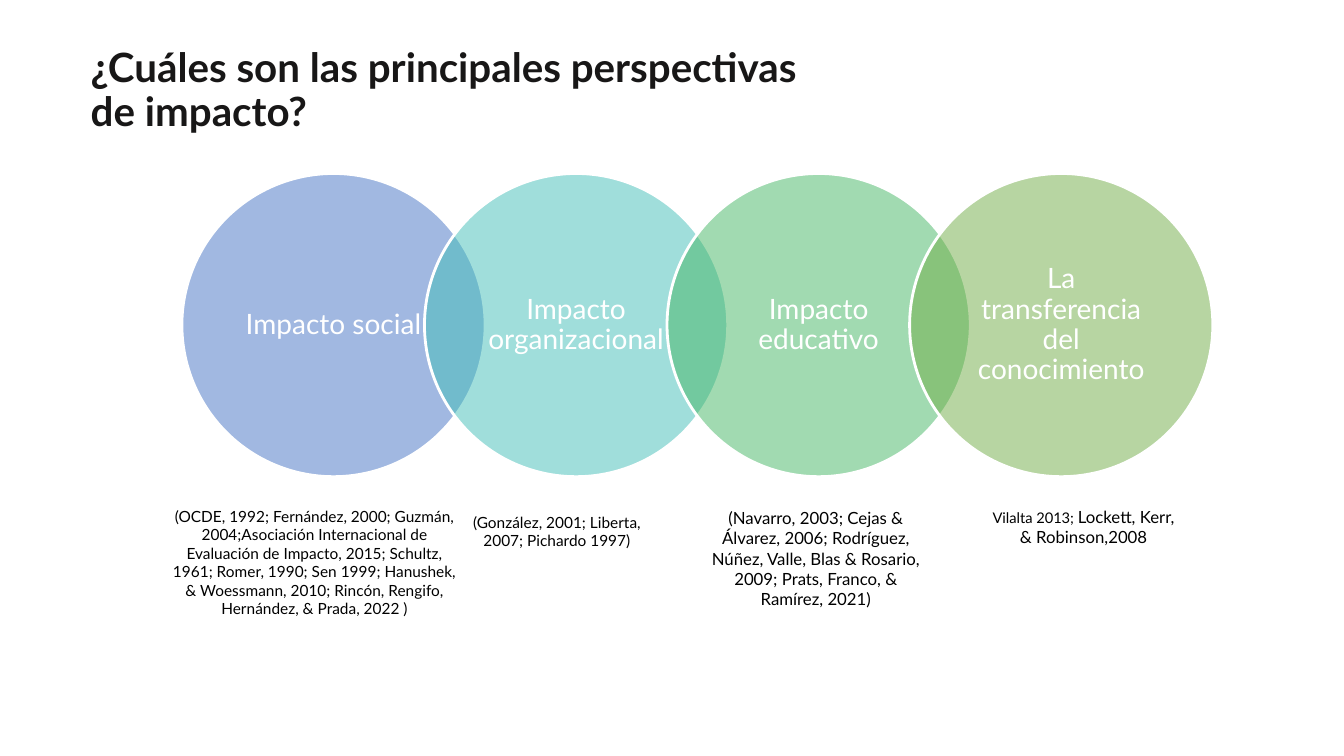
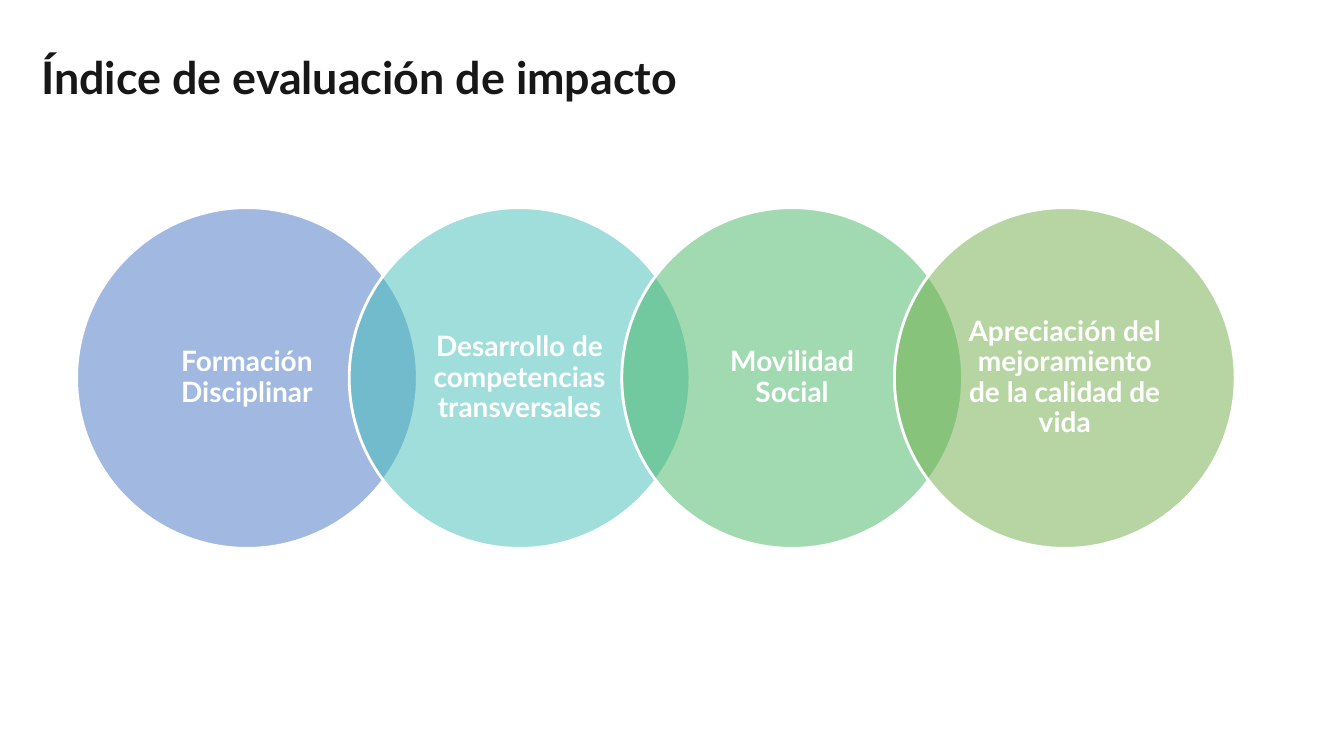
"""Build two slides of overlapping circles on impact perspectives and indices."""
from pptx import Presentation
from pptx.dml.color import RGBColor
from pptx.enum import shapes, text
from pptx.oxml import ns, xmlchemy
from pptx.oxml import parse_xml
from pptx.util import Pt


def rgb(value):
    return RGBColor.from_string(value)


def write(p, content, color, **style):
    r = p.add_run()
    r.text = content
    r.font.color.rgb = rgb(color)
    for name, value in {"name": "Lato", "bold": False, **style}.items():
        setattr(r.font, name, value)


WHITE, BLACK, INK = "FFFFFF", "000000", "181717"
FILLS = ["4472C4", "43BEB9", "45B664", "70AD47"]
STEP = 0.8
ALPHA = f'<a:alpha {ns.nsdecls("a")} val="50000"/>'
FRAME = {"word_wrap": True, "vertical_anchor": text.MSO_ANCHOR.MIDDLE,
         "auto_size": text.MSO_AUTO_SIZE.NONE}

SLIDES = [
    {"title": "¿Cuáles son las principales perspectivas de impacto?",
     "box": (57.6, 32.4, 530.6, 66.2), "size": 28.8,
     "left": 129.9, "top": 123.9, "diameter": 216.6, "inset": 12.2, "bold": False,
     "labels": ["Impacto social", "Impacto organizacional", "Impacto educativo",
                "La transferencia del conocimiento"],
     "captions": [
         ((113.8, 358.6, 221.8, 87.1),
          [("(OCDE, 1992; Fernández, 2000; Guzmán, 2004;Asociación Internacional de "
            "Evaluación de Impacto, 2015; Schultz, 1961; Romer, 1990; Sen 1999; Hanushek, "
            "& Woessmann, 2010; Rincón, Rengifo, Hernández, & Prada, 2022 )", 11)]),
         ((322.6, 362.9, 150.5, 33.8),
          [("(González, 2001; Liberta, 2007; Pichardo 1997)", 11)]),
         ((497.5, 359.3, 170.6, 79.9),
          [("(Navarro, 2003; Cejas & Álvarez, 2006; Rodríguez, Núñez, Valle, Blas & "
            "Rosario, 2009; Prats, Franco, & Ramírez, 2021)", 12)]),
         ((701.3, 358.6, 145.4, 36),
          [("Vilalta 2013; ", 10.5), ("Lockett, Kerr, & Robinson,2008", 12)]),
     ]},
    {"title": "Índice de evaluación de impacto",
     "box": (22.3, 23.8, 828, 66.2), "size": 32,
     "left": 54.7, "top": 148.3, "diameter": 243.4, "inset": 13.7, "bold": True,
     "labels": ["Formación Disciplinar", "Desarrollo de competencias transversales",
                "Movilidad Social", "Apreciación del mejoramiento de la calidad de vida"],
     "captions": []},
]

prs = Presentation()
prs.slide_width, prs.slide_height = Pt(960), Pt(540)

for data in SLIDES:
    s = prs.slides.add_slide(prs.slide_layouts[5])
    sp = s.shapes.title
    for name, value in zip(("left", "top", "width", "height"), data["box"]):
        setattr(sp, name, Pt(value))
    tf = sp.text_frame
    for name, value in FRAME.items():
        setattr(tf, name, value)
    p = tf.paragraphs[0]
    p.alignment, p.line_spacing = text.PP_ALIGN.LEFT, 0.9
    write(p, data["title"], INK, size=Pt(data["size"]), bold=True)

    d = data["diameter"]
    for i, (label, fill) in enumerate(zip(data["labels"], FILLS)):
        sp = s.shapes.add_shape(shapes.MSO_SHAPE.OVAL, Pt(data["left"] + i * STEP * d),
                                Pt(data["top"]), Pt(d), Pt(d))
        sp.shadow.inherit = False
        sp.fill.solid()
        sp.fill.fore_color.rgb = rgb(fill)
        sp._element.spPr.find(".//" + ns.qn("a:srgbClr")).append(parse_xml(ALPHA))
        sp.line.color.rgb = rgb(WHITE)
        sp.line.width = Pt(2)
        tf = sp.text_frame
        margins = {"margin_left": Pt(data["inset"]), "margin_right": Pt(data["inset"]),
                   "margin_top": Pt(2), "margin_bottom": Pt(2)}
        for name, value in {**FRAME, **margins}.items():
            setattr(tf, name, value)
        p = tf.paragraphs[0]
        p.alignment, p.line_spacing = text.PP_ALIGN.CENTER, 0.9
        write(p, label, WHITE, size=Pt(20), bold=data["bold"])

    for box, runs in data["captions"]:
        tf = s.shapes.add_textbox(*map(Pt, box)).text_frame
        tf.word_wrap = True
        tf.auto_size = text.MSO_AUTO_SIZE.SHAPE_TO_FIT_TEXT
        p = tf.paragraphs[0]
        p.alignment = text.PP_ALIGN.CENTER
        for content, size in runs:
            write(p, content, BLACK, size=Pt(size))

prs.save("out.pptx")
